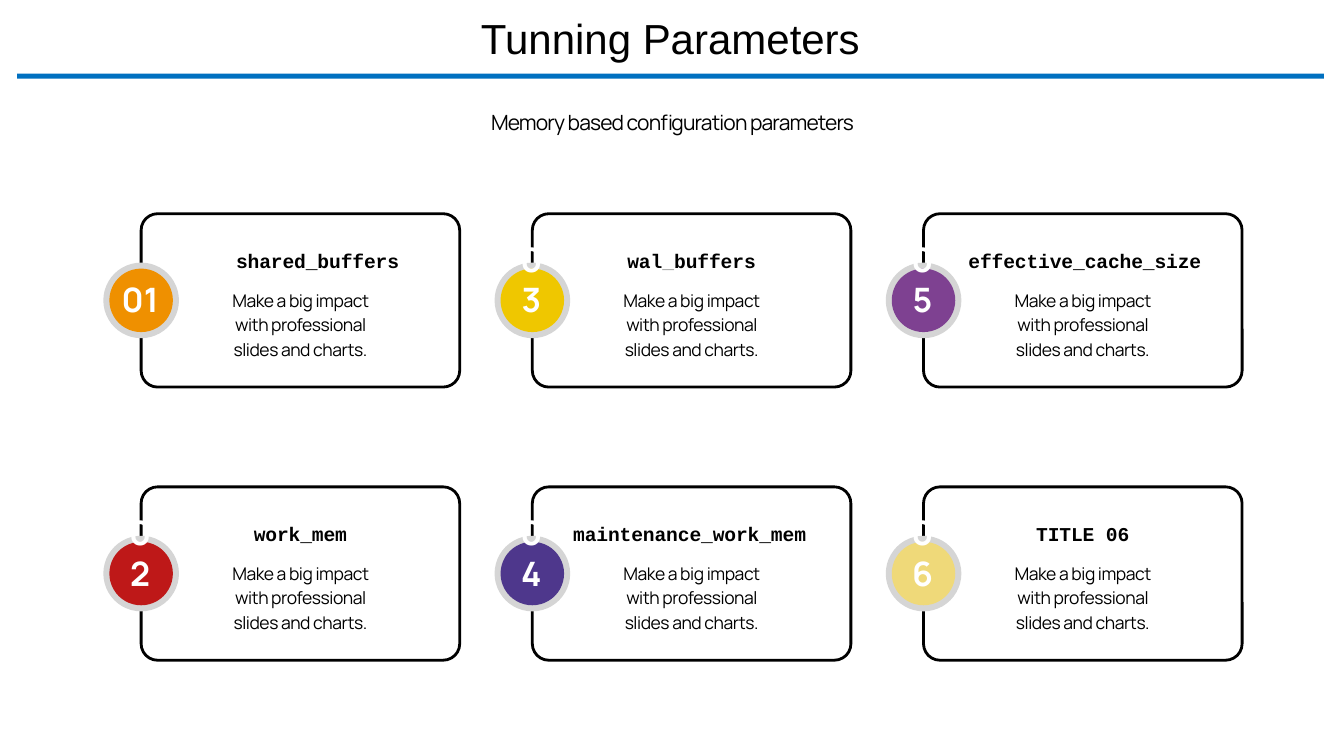
from dataclasses import dataclass

from pptx import Presentation
from pptx.dml.color import RGBColor
from pptx.enum.shapes import MSO_SHAPE as SHAPE
from pptx.enum.text import MSO_ANCHOR as ANCHOR, PP_ALIGN as ALIGN
from pptx.util import Inches, Pt

# Content
TITLE = "Tunning Parameters"
SUBTITLE = "Memory based configuration parameters"
BLURB = "Make a big impact with professional slides and charts."
# number, heading, badge colour, heading width, heading shift; column by column
CARDS = [
    ("01", "shared_buffers", "EF9000", 2.11, 0.17),
    ("02", "work_mem", "BE1818", 1.76, 0),
    ("03", "wal_buffers", "EFC700", 1.76, 0),
    ("04", "maintenance_work_mem", "4E378C", 2.51, -0.02),
    ("05", "effective_cache_size", "7E4191", 2.59, 0.02),
    ("06", "TITLE 06", "EFD979", 1.76, 0),
]
GREY_UNDERSCORE = "wal_buffers"


@dataclass(frozen=True)
class Theme:
    ink: str = "000000"
    white: str = "FFFFFF"
    bar: str = "0070C0"
    ring: str = "D5D5D5"
    faint: str = "9B9C9B"
    title_font: str = "Arial"
    body_font: str = "Manrope"
    code_font: str = "Courier New"
    title_size: float = 30
    subtitle_size: float = 15
    heading_size: float = 14
    blurb_size: float = 12.5
    number_size: float = 24


T = Theme()

# Layout in inches
ROWS = 2
LEFT, TOP = 1.4, 2.12
STEP_X, STEP_Y = 3.88, 2.71
CARD_W, CARD_H = 3.16, 1.72
TEXT_CENTRE = 1.58
BLURB_W = 1.76
RING, DISC = 0.75, 0.63


def add_shape(kind, x, y, w, h, fill=None, line=None):
    sp = s.shapes.add_shape(kind, Inches(x), Inches(y), Inches(w), Inches(h))
    sp.shadow.inherit = False
    if fill:
        sp.fill.solid()
        sp.fill.fore_color.rgb = RGBColor.from_string(fill)
    else:
        sp.fill.background()
    if line:
        sp.line.color.rgb = RGBColor.from_string(line)
        sp.line.width = Pt(2)
    else:
        sp.line.fill.background()
    return sp


def add_circle(cx, cy, size, fill):
    add_shape(SHAPE.OVAL, cx - size / 2, cy - size / 2, size, size, fill)


def style(p, font, size, color, bold=False, leading=None, spacing=0):
    p.alignment = ALIGN.CENTER
    if leading:
        p.line_spacing = leading
    for r in p.runs:
        r.font.name = font
        r.font.size = Pt(size)
        r.font.bold = bold
        r.font.color.rgb = RGBColor.from_string(color)
        if spacing:
            r.font._element.set("spc", str(round(spacing * 100)))


def add_text(parts, cx, y, w, h, *look, anchor=ANCHOR.TOP, wrap=True, **more):
    box = s.shapes.add_textbox(Inches(cx - w / 2), Inches(y), Inches(w), Inches(h))
    tf = box.text_frame
    tf.word_wrap = wrap
    tf.vertical_anchor = anchor
    p = tf.paragraphs[0]
    for part in parts:
        p.add_run().text = part
    style(p, *look, **more)
    return p


def add_card(i, number, heading, color, heading_w, shift):
    col, row = divmod(i, ROWS)
    x, y = LEFT + col * STEP_X, TOP + row * STEP_Y
    cx, cy = x + TEXT_CENTRE, y + CARD_H / 2

    # Frame and badge
    frame = add_shape(SHAPE.ROUNDED_RECTANGLE, x, y, CARD_W, CARD_H, line=T.ink)
    frame.adjustments[0] = 0.095
    add_circle(x, cy, RING, T.ring)
    add_circle(x, cy, DISC, color)

    # Heading and description
    grey = heading == GREY_UNDERSCORE
    parts = heading.partition("_") if grey else [heading]
    p = add_text(parts, cx + shift, y + 0.28, heading_w, 0.35,
                 T.code_font, T.heading_size, T.ink, bold=True,
                 anchor=ANCHOR.BOTTOM, leading=Pt(17.5), spacing=-0.1)
    if grey:
        p.runs[1].font.color.rgb = RGBColor.from_string(T.faint)
    add_text([BLURB], cx, y + 0.67, BLURB_W, 0.85,
             T.body_font, T.blurb_size, T.ink, leading=Pt(17.5), spacing=-0.3)

    # Badge number
    add_text([number], x - 0.01, y + 0.19, 0.6, 0.91,
             T.body_font, T.number_size, T.white, bold=True, anchor=ANCHOR.BOTTOM)


prs = Presentation()
prs.slide_width, prs.slide_height = Inches(13.33), Inches(7.5)
s = prs.slides.add_slide(prs.slide_layouts[5])

# Title, rule and subtitle
title = s.shapes.title
title.left, title.top = Inches(0.17), Inches(0.15)
title.width, title.height = Inches(12.96), Inches(0.52)
title.text_frame.text = TITLE
title.text_frame.vertical_anchor = ANCHOR.MIDDLE
style(title.text_frame.paragraphs[0], T.title_font, T.title_size, T.ink, leading=0.9)
add_shape(SHAPE.RECTANGLE, 0.17, 0.73, 12.96, 0.05, T.bar)
add_text([SUBTITLE], 6.67, 1, 4.25, 0.38, T.body_font, T.subtitle_size, T.ink,
         wrap=False, leading=Pt(21), spacing=-0.6)

# Parameter cards
for i, card in enumerate(CARDS):
    add_card(i, *card)

prs.save("out.pptx")
